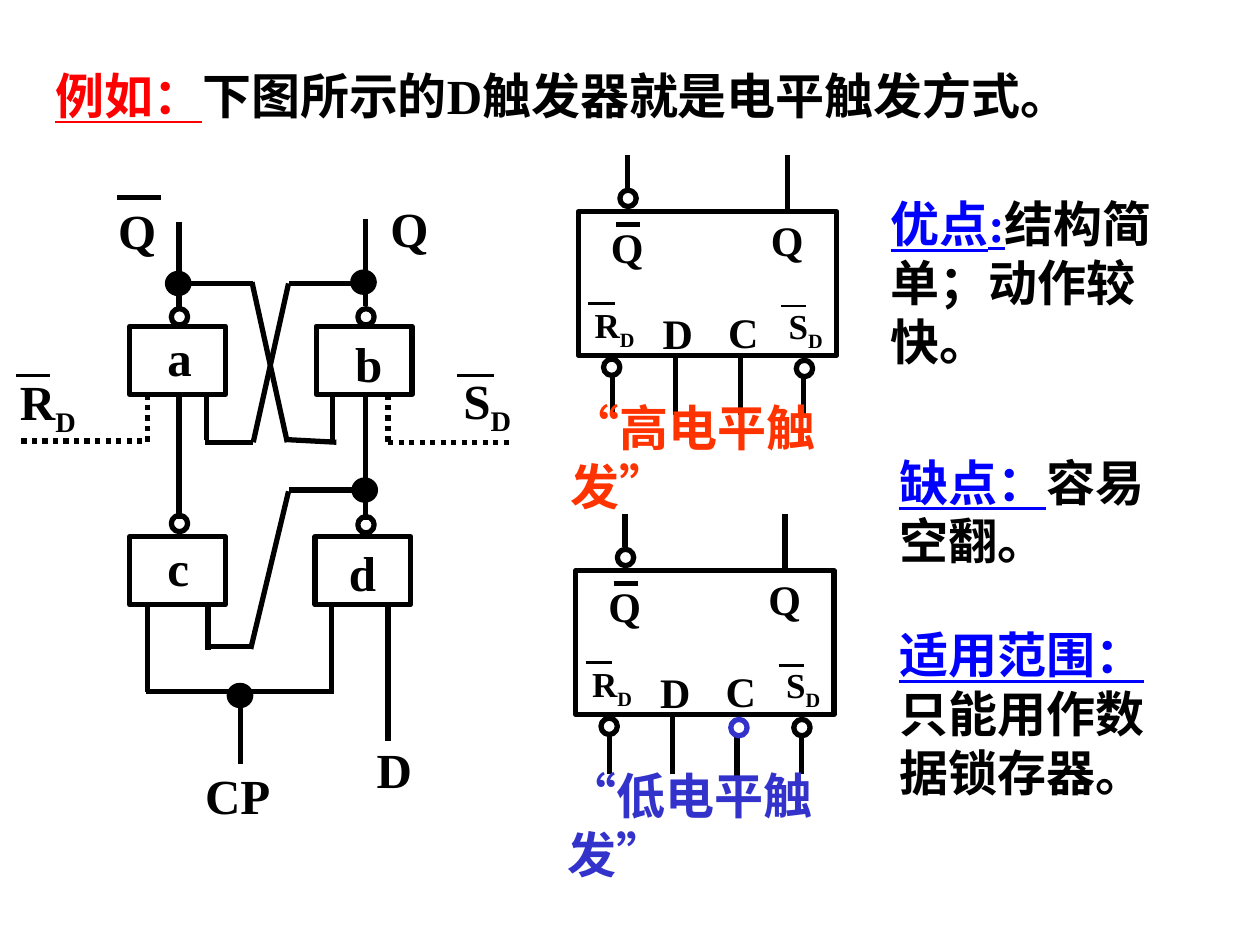
from dataclasses import dataclass

from pptx import Presentation
from pptx.dml.color import RGBColor
from pptx.enum.dml import MSO_LINE
from pptx.enum.lang import MSO_LANGUAGE_ID
from pptx.enum.shapes import MSO_CONNECTOR, MSO_SHAPE
from pptx.enum.text import MSO_ANCHOR, MSO_AUTO_SIZE, PP_ALIGN
from pptx.oxml.ns import qn
from pptx.util import Inches, Pt

FONT = "Times New Roman"
BLACK, RED, ORANGE, BLUE, INDIGO = "000000", "FF0000", "FF3300", "0000FF", "3333CC"
STRAIGHT = MSO_CONNECTOR.STRAIGHT
RECTANGLE, OVAL = MSO_SHAPE.RECTANGLE, MSO_SHAPE.OVAL
TOP, MIDDLE = MSO_ANCHOR.TOP, MSO_ANCHOR.MIDDLE
DOTTED = MSO_LINE.ROUND_DOT
CHINESE = MSO_LANGUAGE_ID.SIMPLIFIED_CHINESE
THICK, THIN = 3, 1.5
BUBBLE = 0.13


@dataclass(frozen=True)
class Span:
    text: str
    color: str = BLACK
    underline: bool = False
    subscript: bool = False


@dataclass(frozen=True)
class Wire:
    x1: float
    y1: float
    x2: float
    y2: float
    width: float = THICK
    dotted: bool = False


@dataclass(frozen=True)
class Label:
    text: str
    left: float
    top: float
    width: float
    height: float = 0.57
    size: int = 28
    sub: str = ""


@dataclass(frozen=True)
class Note:
    left: float
    top: float
    width: float
    height: float
    spans: tuple[Span, ...]


def rgb(color: str) -> RGBColor:
    return RGBColor.from_string(color)


def fill_text(box, spans: tuple[Span, ...], size: int, anchor=TOP) -> None:
    frame = box.text_frame
    frame.word_wrap = True
    frame.auto_size = MSO_AUTO_SIZE.SHAPE_TO_FIT_TEXT
    frame.vertical_anchor = anchor
    para = frame.paragraphs[0]
    para.alignment = PP_ALIGN.LEFT
    para.space_before = Pt(0)
    for span in spans:
        run = para.add_run()
        run.text = span.text
        run.font.name = FONT
        run.font.size = Pt(size)
        run.font.bold = True
        run.font.underline = span.underline
        run.font.color.rgb = rgb(span.color)
        run.font.language_id = CHINESE
        if span.subscript:
            run._r.get_or_add_rPr().set("baseline", "-25000")


def add_text(slide, left: float, top: float, width: float, height: float,
             spans: tuple[Span, ...], size: int, anchor=TOP) -> None:
    box = slide.shapes.add_textbox(Inches(left), Inches(top), Inches(width), Inches(height))
    fill_text(box, spans, size, anchor)


def add_label(slide, label: Label, dx: float = 0, dy: float = 0) -> None:
    spans = (Span(label.text),)
    if label.sub:
        spans += (Span(label.sub, subscript=True),)
    add_text(slide, label.left + dx, label.top + dy, label.width, label.height,
             spans, label.size)


def add_wire(slide, wire: Wire, dx: float = 0, dy: float = 0) -> None:
    line = slide.shapes.add_connector(
        STRAIGHT, Inches(wire.x1 + dx), Inches(wire.y1 + dy),
        Inches(wire.x2 + dx), Inches(wire.y2 + dy))
    line.line.color.rgb = rgb(BLACK)
    line.line.width = Pt(wire.width)
    if wire.dotted:
        line.line.dash_style = DOTTED
    properties = line._element.spPr
    properties.append(properties.makeelement(qn("a:effectLst"), {}))


def add_outline(slide, kind, left: float, top: float, width: float, height: float,
                color: str = BLACK, filled: bool = False) -> None:
    shape = slide.shapes.add_shape(kind, Inches(left), Inches(top),
                                   Inches(width), Inches(height))
    shape.shadow.inherit = False
    shape.line.color.rgb = rgb(color)
    shape.line.width = Pt(THICK)
    if filled:
        shape.fill.solid()
        shape.fill.fore_color.rgb = rgb(color)
    else:
        shape.fill.background()


def add_bubble(slide, left: float, top: float, color: str = BLACK) -> None:
    add_outline(slide, OVAL, left, top, BUBBLE, BUBBLE, color)


# Gate circuit: gates, inverting bubbles and junction dots by top-left corner
GATES = ((1.03, 2.59), (2.51, 2.59), (1.03, 4.26), (2.5, 4.26))
GATE_BUBBLES = ((1.36, 2.45), (2.84, 2.45), (1.36, 4.09), (2.84, 4.1))
JUNCTIONS = ((1.33, 2.17), (2.8, 2.16), (2.81, 3.81), (1.82, 5.44))
GATE_WIRES = (
    # outputs and the verticals between gates
    Wire(1.42, 1.76, 1.42, 2.45), Wire(2.9, 1.74, 2.9, 2.43),
    Wire(1.42, 3.13, 1.42, 4.12), Wire(2.9, 3.13, 2.9, 4.13),
    # cross coupling of a and b
    Wire(1.41, 2.25, 2.01, 2.25), Wire(2, 2.24, 2.28, 3.51),
    Wire(2.29, 3.49, 2.67, 3.51), Wire(2.64, 3.15, 2.64, 3.49),
    Wire(2.91, 2.25, 2.29, 2.25), Wire(2.29, 2.25, 2.01, 3.51),
    Wire(2.01, 3.51, 1.63, 3.51), Wire(1.64, 3.13, 1.64, 3.49),
    # feedback from d to c
    Wire(2.9, 3.89, 2.29, 3.89), Wire(2.29, 3.9, 1.99, 5.15),
    Wire(2.01, 5.13, 1.66, 5.13), Wire(1.65, 4.8, 1.65, 5.16),
    # clock and data inputs
    Wire(1.17, 4.8, 1.17, 5.49), Wire(1.16, 5.49, 2.64, 5.49),
    Wire(2.63, 4.8, 2.63, 5.51), Wire(1.91, 5.51, 1.91, 6.06),
    Wire(3.08, 4.8, 3.08, 5.88),
    # asynchronous reset and set
    Wire(1.17, 3.13, 1.17, 3.51, dotted=True), Wire(0.17, 3.5, 1.16, 3.5, dotted=True),
    Wire(3.08, 3.13, 3.08, 3.51, dotted=True), Wire(3.08, 3.51, 4.07, 3.51, dotted=True),
    # negation bars
    Wire(0.93, 1.57, 1.28, 1.57),
    Wire(0.13, 2.98, 0.4, 2.98, THIN), Wire(3.63, 2.98, 3.92, 2.98, THIN),
)
GATE_LABELS = (
    Label("a", 1.23, 2.55, 0.77), Label("b", 2.72, 2.6, 0.44),
    Label("c", 1.23, 4.22, 0.41), Label("d", 2.67, 4.26, 0.43),
    Label("Q", 0.84, 1.54, 0.6), Label("Q", 3, 1.53, 0.6),
    Label("R", 0.06, 2.9, 0.82, sub="D"), Label("S", 3.58, 2.89, 0.79, sub="D"),
    Label("CP", 1.53, 6.03, 0.74), Label("D", 2.89, 5.82, 0.61),
)

# Flip-flop symbol, given at the place of the upper one
SYMBOL_BUBBLES = ((4.92, 1.51), (4.79, 2.85), (6.32, 2.86))
SYMBOL_WIRES = (
    Wire(4.98, 1.23, 4.98, 1.49), Wire(6.25, 1.23, 6.25, 1.7),
    Wire(4.86, 2.98, 4.86, 3.29), Wire(5.36, 2.84, 5.36, 3.29),
    Wire(6.38, 2.98, 6.38, 3.29), Wire(4.89, 1.78, 5.08, 1.78),
    Wire(4.67, 2.41, 4.88, 2.41, THIN), Wire(6.2, 2.43, 6.4, 2.43, THIN),
)
SYMBOL_LABELS = (
    Label("Q", 4.75, 1.71, 0.51, 0.5, 24), Label("Q", 6.02, 1.65, 0.51, 0.5, 24),
    Label("D", 5.16, 2.39, 0.49, 0.5, 24), Label("C", 5.68, 2.38, 0.49, 0.5, 24),
    Label("R", 4.62, 2.36, 0.65, 0.43, 20, "D"), Label("S", 6.16, 2.37, 0.65, 0.43, 20, "D"),
)

NOTES = (
    Note(4.43, 3.34, 2.56, 0.57, (Span("“高电平触发”", ORANGE),)),
    Note(4.41, 6.26, 2.56, 0.57, (Span("“低电平触发”", INDIGO),)),
    Note(6.97, 1.49, 2.36, 1.5, (Span("优点:", BLUE, True), Span("结构简单；动作较快。"))),
    Note(7.04, 3.54, 2.26, 1.03, (Span("缺点：", BLUE, True), Span("容易空翻。"))),
    Note(7.04, 4.91, 2.24, 1.5, (Span("适用范围：", BLUE, True), Span("只能用作数据锁存器。"))),
)


def draw_gate_circuit(slide) -> None:
    for left, top in GATES:
        add_outline(slide, RECTANGLE, left, top, 0.76, 0.54)
    for left, top in GATE_BUBBLES:
        add_bubble(slide, left, top)
    for wire in GATE_WIRES:
        add_wire(slide, wire)
    for left, top in JUNCTIONS:
        add_outline(slide, OVAL, left, top, 0.17, 0.16, filled=True)
    for label in GATE_LABELS:
        add_label(slide, label)


def draw_symbol(slide, dx: float, dy: float, active_low: bool) -> None:
    add_outline(slide, RECTANGLE, 4.59 + dx, 1.68 + dy, 2.05, 1.14)
    for left, top in SYMBOL_BUBBLES:
        add_bubble(slide, left + dx, top + dy)
    for wire in SYMBOL_WIRES:
        add_wire(slide, wire, dx, dy)
    # The clock pin is shorter where it carries a bubble
    clock = Wire(5.87, 2.98, 5.87, 3.32) if active_low else Wire(5.88, 2.84, 5.88, 3.29)
    add_wire(slide, clock, dx, dy)
    if active_low:
        add_bubble(slide, 5.82 + dx, 2.86 + dy, INDIGO)
    for label in SYMBOL_LABELS:
        add_label(slide, label, dx, dy)


def main() -> None:
    deck = Presentation()
    deck.slide_width, deck.slide_height = Inches(10), Inches(7.5)
    slide = deck.slides.add_slide(deck.slide_layouts[5])

    # Title
    title = slide.shapes.title
    title.left, title.top = Inches(0.34), Inches(0.47)
    title.width, title.height = Inches(8.65), Inches(0.57)
    fill_text(title, (Span("例如：", RED, True),
                      Span("下图所示的D触发器就是电平触发方式。")), 28)

    # Circuit and its two symbols
    draw_gate_circuit(slide)
    draw_symbol(slide, 0, 0, active_low=False)
    draw_symbol(slide, -0.02, 2.85, active_low=True)

    # Captions and remarks
    for note in NOTES:
        add_text(slide, note.left, note.top, note.width, note.height, note.spans, 28, MIDDLE)

    deck.save("out.pptx")


if __name__ == "__main__":
    main()
